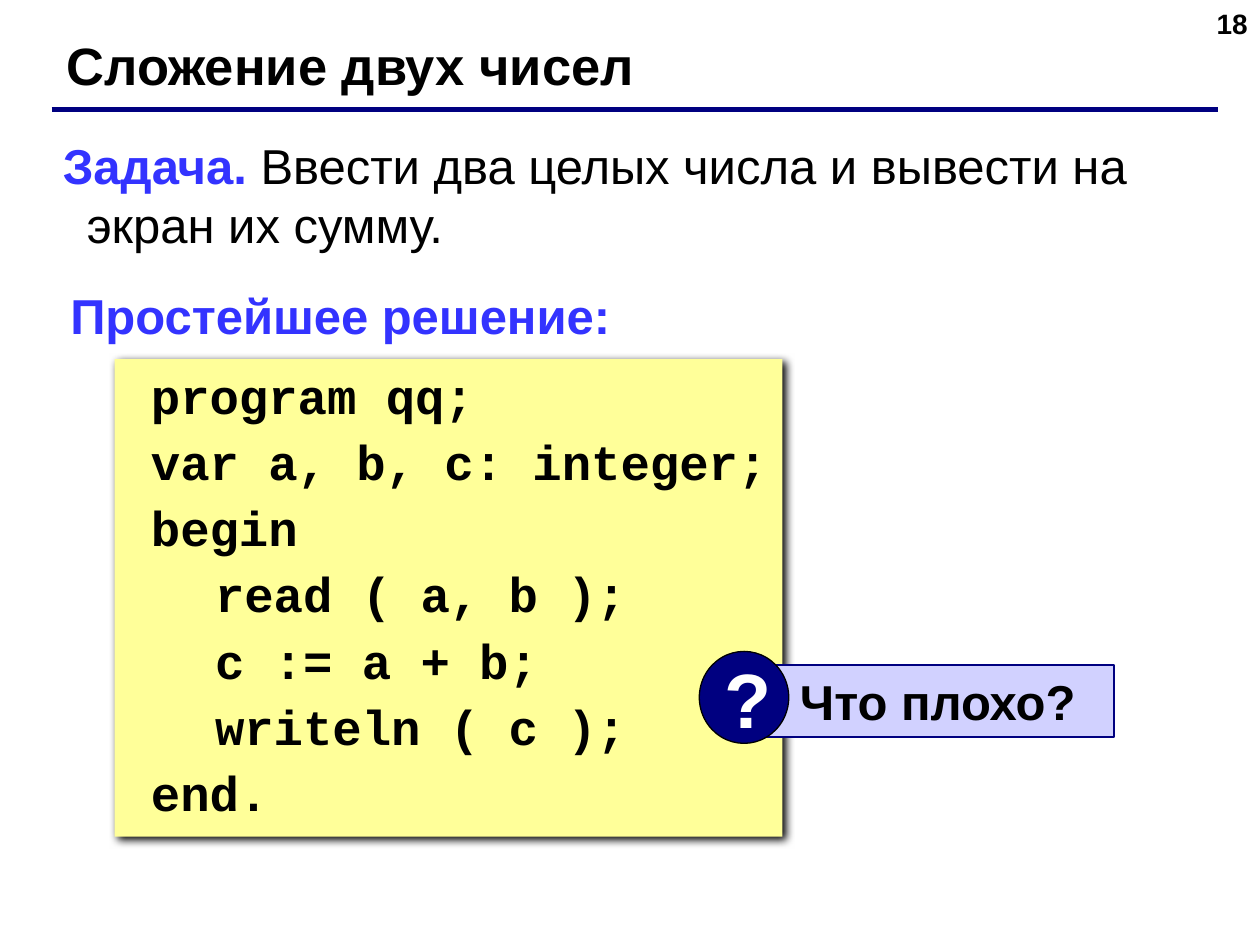
from dataclasses import dataclass

from lxml import etree
from pptx import Presentation
from pptx import util as u
from pptx.dml.color import RGBColor
from pptx.enum import shapes, text
from pptx.oxml import ns


@dataclass(frozen=True)
class Theme:
    sans: str = "Arial"
    mono: str = "Courier New"
    black: str = "000000"
    white: str = "FFFFFF"
    navy: str = "000080"
    blue: str = "3333FF"
    cream: str = "FFFF99"
    lilac: str = "D1D1FF"
    small: int = 16
    body: int = 28
    title: int = 30
    mark: int = 44
    hang: float = 0.19


T = Theme()
CODE = """program qq;
var a, b, c: integer;
begin
   read ( a, b );
   c := a + b;
   writeln ( c );
end."""


def rgb(color):
    return RGBColor.from_string(color)


def style(font, size=T.body, color=T.black, name=T.sans, bold=True):
    font.size = u.Pt(size)
    font.name = name
    font.bold = bold
    font.color.rgb = rgb(color)


def indent(para, left, first):
    props = para._p.get_or_add_pPr()
    props.set("marL", str(u.Inches(left)))
    props.set("indent", str(u.Inches(first)))


def place(box):
    return [u.Inches(side) for side in box]


def label(slide, box, words, **look):
    frame = slide.shapes.add_textbox(*place(box)).text_frame
    frame.word_wrap = True
    para = frame.paragraphs[0]
    para.text = words
    style(para.font, **look)
    return para


def panel(parent, kind, box, fill, line=None, width=1):
    shape = parent.shapes.add_shape(kind, *place(box))
    shape.shadow.inherit = False
    shape.fill.solid()
    shape.fill.fore_color.rgb = rgb(fill)
    if line:
        shape.line.color.rgb = rgb(line)
        shape.line.width = u.Pt(width)
    else:
        shape.line.fill.background()
    frame = shape.text_frame
    frame.word_wrap = True
    frame.vertical_anchor = text.MSO_ANCHOR.TOP
    return shape


def header(slide, box):
    left, top, width, height = box
    label(slide, (left + 0.02, top, 8.9, 0.6), "Сложение двух чисел", size=T.title)
    base = top + height
    rule = slide.shapes.add_connector(
        shapes.MSO_CONNECTOR.STRAIGHT, *place((left, base, left + width, base)))
    rule.line.color.rgb = rgb(T.navy)
    rule.line.width = u.Pt(3)
    etree.SubElement(rule._element.spPr, ns.qn("a:effectLst"))


def number(slide, box):
    para = label(slide, box, "18", size=T.small)
    para.alignment = text.PP_ALIGN.RIGHT


def task(slide, box):
    para = label(slide, box, "Задача. ", color=T.blue)
    indent(para, T.hang, -T.hang)
    run = para.add_run()
    run.text = "Ввести два целых числа и вывести на экран их сумму."
    style(run.font, bold=False)
    style(para.runs[0].font, color=T.blue)


def lead(slide, box):
    para = label(slide, box, "Простейшее решение:", color=T.blue)
    indent(para, T.hang, -T.hang)


def shade(shape):
    effects = shape._element.spPr.find(ns.qn("a:effectLst"))
    outer = etree.SubElement(
        effects, ns.qn("a:outerShdw"), blurRad=str(u.Pt(5)),
        dist=str(u.Pt(2.8)), dir=str(45 * 60000), algn="ctr", rotWithShape="0")
    etree.SubElement(outer, ns.qn("a:srgbClr"), val=T.black)


def listing(slide, box):
    shape = panel(slide, shapes.MSO_SHAPE.RECTANGLE, box, T.cream)
    shade(shape)
    frame = shape.text_frame
    for row, line in enumerate(CODE.split("\n")):
        para = frame.add_paragraph() if row else frame.paragraphs[0]
        para.text = line
        para.alignment = text.PP_ALIGN.LEFT
        indent(para, T.hang, -T.hang if line.startswith(" ") else 0)
        if row:
            para.space_before = u.Pt(4.2)
        style(para.font, name=T.mono)


def query(slide, box):
    left, top, width, height = box
    group = slide.shapes.add_group_shape()
    bar = panel(group, shapes.MSO_SHAPE.RECTANGLE,
                (left + 0.51, top + 0.11, width - 0.51, 0.57), T.lilac, T.navy)
    para = bar.text_frame.paragraphs[0]
    para.text = "Что плохо?"
    para.alignment = text.PP_ALIGN.LEFT
    indent(para, 0.58, -0.39)
    style(para.font)

    disc = panel(group, shapes.MSO_SHAPE.OVAL, (left, top, 0.71, height),
                 T.navy, T.black, 0.75)
    disc.text_frame.vertical_anchor = text.MSO_ANCHOR.MIDDLE
    para = disc.text_frame.paragraphs[0]
    para.text = "?"
    para.alignment = text.PP_ALIGN.CENTER
    style(para.font, T.mark, T.white)


def main():
    deck = Presentation()
    deck.slide_width, deck.slide_height = u.Inches(10), u.Inches(7.5)
    slide = deck.slides.add_slide(deck.slide_layouts[6])
    number(slide, (7.67, 0, 2.33, 0.52))
    header(slide, (0.41, 0.21, 9.26, 0.66))
    task(slide, (0.4, 1.03, 9.31, 1.03))
    lead(slide, (0.46, 2.22, 5.3, 0.57))
    listing(slide, (0.91, 2.85, 5.3, 3.79))
    query(slide, (5.55, 5.17, 3.29, 0.73))
    deck.save("out.pptx")


if __name__ == "__main__":
    main()
